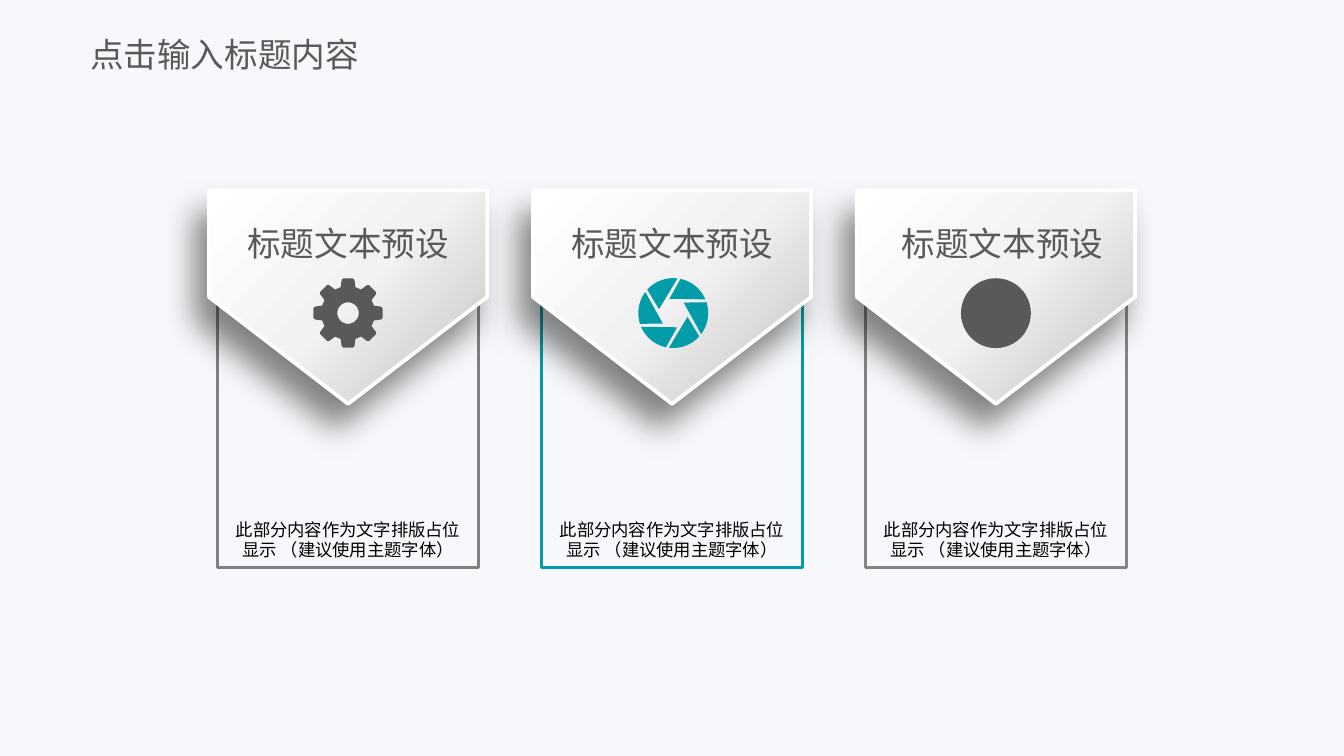
from copy import deepcopy
from dataclasses import dataclass
from math import cos, radians, sin

from lxml import etree
from pptx import Presentation
from pptx.dml.color import RGBColor
from pptx.enum.shapes import MSO_SHAPE
from pptx.enum.text import MSO_ANCHOR, MSO_AUTO_SIZE, PP_ALIGN
from pptx.oxml.ns import qn
from pptx.util import Inches, Pt

RECTANGLE, PENTAGON, OVAL = MSO_SHAPE.RECTANGLE, MSO_SHAPE.PENTAGON, MSO_SHAPE.OVAL
TOP, MIDDLE = MSO_ANCHOR.TOP, MSO_ANCHOR.MIDDLE
LEFT, CENTER = PP_ALIGN.LEFT, PP_ALIGN.CENTER
NO_AUTOFIT = MSO_AUTO_SIZE.NONE

FONT = "Noto Sans CJK SC"
COLORS = {
    "page": "F7F8FB", "text": "595959", "body": "000000", "white": "FFFFFF",
    "teal": "029BA8", "gray": "808080", "light_gray": "848484",
    "shade": "BFBFBF", "middle": "F2F2F2", "shadow": "0D0D0D",
}
TITLE = "点击输入标题内容"
HEADING = "标题文本预设"
BODY = "此部分内容作为文字排版占位显示 （建议使用主题字体）"

# Card geometry, in inches
FIRST_CENTER, CARD_STEP = 2.59, 2.41
FRAME_TOP, FRAME_WIDTH, FRAME_HEIGHT = 1.5, 1.94, 2.72
FLAP_MIDDLE, FLAP_LENGTH, FLAP_WIDTH = 2.21, 1.59, 2.07
ICON_MIDDLE, ICON_RADIUS = 2.33, 0.26

Point = tuple[float, float]


@dataclass
class Card:
    icon: str
    frame_color: str
    icon_color: str
    icon_shift: float = 0
    heading_inset: float = 0.05


CARDS = [
    Card("gear", "gray", "text"),
    Card("aperture", "teal", "teal", icon_shift=0.01),
    Card("disc", "light_gray", "text", heading_inset=0),
]


def color(name: str) -> RGBColor:
    return RGBColor.from_string(COLORS[name])


def write(shape, text: str, size: float, color_name: str, align, anchor,
          insets: tuple, wrap: bool = True) -> None:
    frame = shape.text_frame
    frame.auto_size = NO_AUTOFIT
    frame.word_wrap = wrap
    frame.vertical_anchor = anchor
    (frame.margin_left, frame.margin_top,
     frame.margin_right, frame.margin_bottom) = map(Inches, insets)
    para = frame.paragraphs[0]
    para.alignment = align
    span = para.add_run()
    span.text = text
    span.font.size = Pt(size)
    span.font.color.rgb = color(color_name)
    span.font.name = FONT
    etree.SubElement(span._r.get_or_add_rPr(), qn("a:ea"), typeface=FONT)


def outline(shape, color_name: str, width: float) -> None:
    shape.line.color.rgb = color(color_name)
    shape.line.width = Pt(width)


def shade_flap(flap) -> None:
    """Three-stop gradient and a soft shadow towards the lower left."""
    flap.fill.gradient()
    flap.fill.gradient_angle = 225
    stop_list = flap._element.spPr.find(qn("a:gradFill")).find(qn("a:gsLst"))
    stop_list.append(deepcopy(stop_list[0]))
    names = ("shade", "middle", "white")
    for stop, name, position in zip(flap.fill.gradient_stops, names, (0, 0.5, 1)):
        stop.color.rgb = color(name)
        stop.position = position

    flap.shadow.inherit = False
    effects = flap._element.spPr.find(qn("a:effectLst"))
    shadow = etree.SubElement(
        effects, qn("a:outerShdw"), blurRad=str(Pt(17)), dist=str(Pt(14)),
        dir=str(120 * 60000), algn="ctr", rotWithShape="0")
    tint = etree.SubElement(shadow, qn("a:srgbClr"), val=COLORS["shadow"])
    etree.SubElement(tint, qn("a:alpha"), val="50000")


def polar(radius: float, degrees: float) -> Point:
    return radius * cos(radians(degrees)), radius * sin(radians(degrees))


def arc(radius: float, start: int, end: int, step: int) -> list[Point]:
    return [polar(radius, degrees) for degrees in range(start, end + 1, step)]


def gear_contours() -> list[list[Point]]:
    teeth = []
    for middle in range(0, 360, 45):
        for radius, offset in ((0.2, -16), (0.25, -11), (0.26, -8),
                               (0.26, 8), (0.25, 11), (0.2, 16)):
            teeth.append(polar(radius, middle + offset))
    return [teeth, arc(0.08, 0, 350, 10)]


def aperture_contours() -> list[list[Point]]:
    return [arc(ICON_RADIUS, turn + 222, turn + 277, 5) + [polar(0.11, turn + 195)]
            for turn in range(0, 360, 60)]


def draw_contours(page, contours: list[list[Point]], center: float):
    builder = None
    for contour in contours:
        points = [(Inches(center + x), Inches(ICON_MIDDLE + y)) for x, y in contour]
        if builder is None:
            builder = page.shapes.build_freeform(*points[0], scale=1.0)
        else:
            builder.move_to(*points[0])
        builder.add_line_segments(points[1:], close=True)
    return builder.convert_to_shape()


def draw_icon(page, card: Card, center: float) -> None:
    if card.icon == "gear":
        icon = draw_contours(page, gear_contours(), center)
    elif card.icon == "aperture":
        icon = draw_contours(page, aperture_contours(), center)
    else:
        icon = add_centered(page, OVAL, center, ICON_MIDDLE,
                            2 * ICON_RADIUS, 2 * ICON_RADIUS)
    icon.shadow.inherit = False
    icon.fill.solid()
    icon.fill.fore_color.rgb = color(card.icon_color)
    icon.line.fill.background()


def add_centered(page, kind, center: float, middle: float,
                 width: float, height: float):
    return page.shapes.add_shape(
        kind, Inches(center - width / 2), Inches(middle - height / 2),
        Inches(width), Inches(height))


def draw_card(page, card: Card, center: float) -> None:
    # Frame with the description at its foot
    box = add_centered(page, RECTANGLE, center, FRAME_TOP + FRAME_HEIGHT / 2,
                       FRAME_WIDTH, FRAME_HEIGHT)
    box.shadow.inherit = False
    box.fill.background()
    outline(box, card.frame_color, 1.5)
    write(box, BODY, 9.3, "body", CENTER, TOP, (0.1, 2.36, 0.1, 0.05))

    # Flap pointing down, its heading kept upright
    flap = add_centered(page, PENTAGON, center, FLAP_MIDDLE, FLAP_LENGTH, FLAP_WIDTH)
    flap.rotation = 90
    outline(flap, "white", 2)
    shade_flap(flap)
    write(flap, HEADING, 18, "text", CENTER, TOP,
          (0.24, card.heading_inset, 0.1, 0.05), wrap=False)
    flap.text_frame._txBody.bodyPr.set("vert", "vert270")

    draw_icon(page, card, center + card.icon_shift)


def main() -> None:
    # Widescreen page, 16 to 9
    deck = Presentation()
    deck.slide_width = Inches(10)
    deck.slide_height = deck.slide_width * 9 // 16
    page = deck.slides.add_slide(deck.slide_layouts[5])
    page.background.fill.solid()
    page.background.fill.fore_color.rgb = color("page")

    # Title
    title = page.shapes.title
    title.left, title.top = Inches(0.67), Inches(0.19)
    title.width, title.height = Inches(2.33), Inches(0.42)
    write(title, TITLE, 18, "text", LEFT, MIDDLE, (0, 0.05, 0, 0.05))

    # Cards
    for index, card in enumerate(CARDS):
        draw_card(page, card, FIRST_CENTER + index * CARD_STEP)

    deck.save("out.pptx")


if __name__ == "__main__":
    main()
